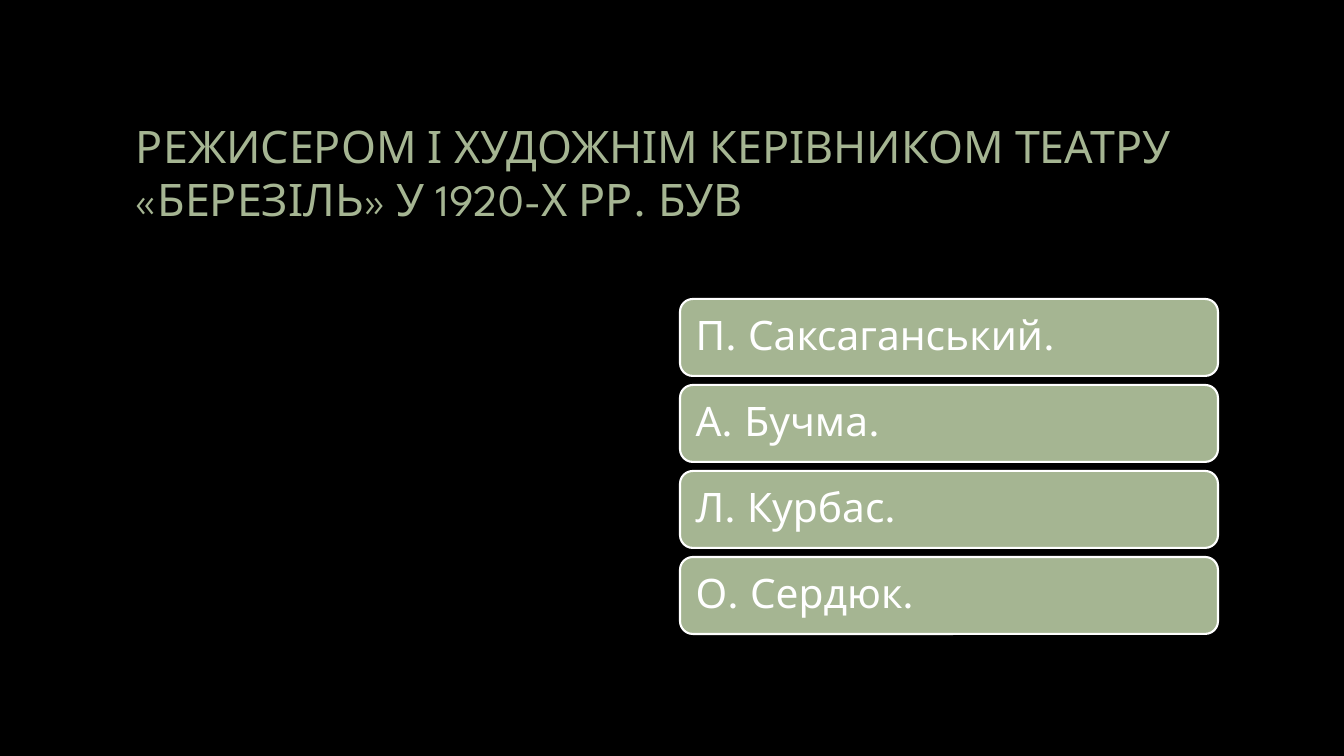
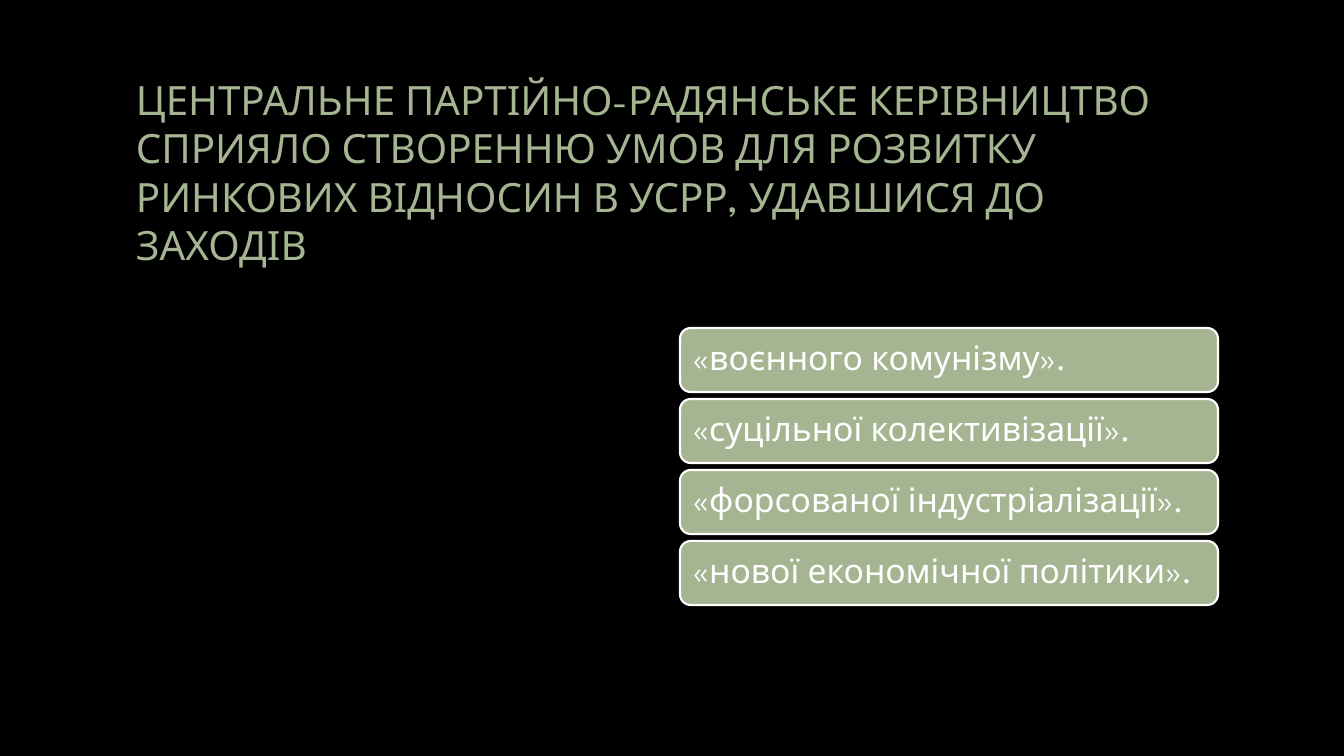
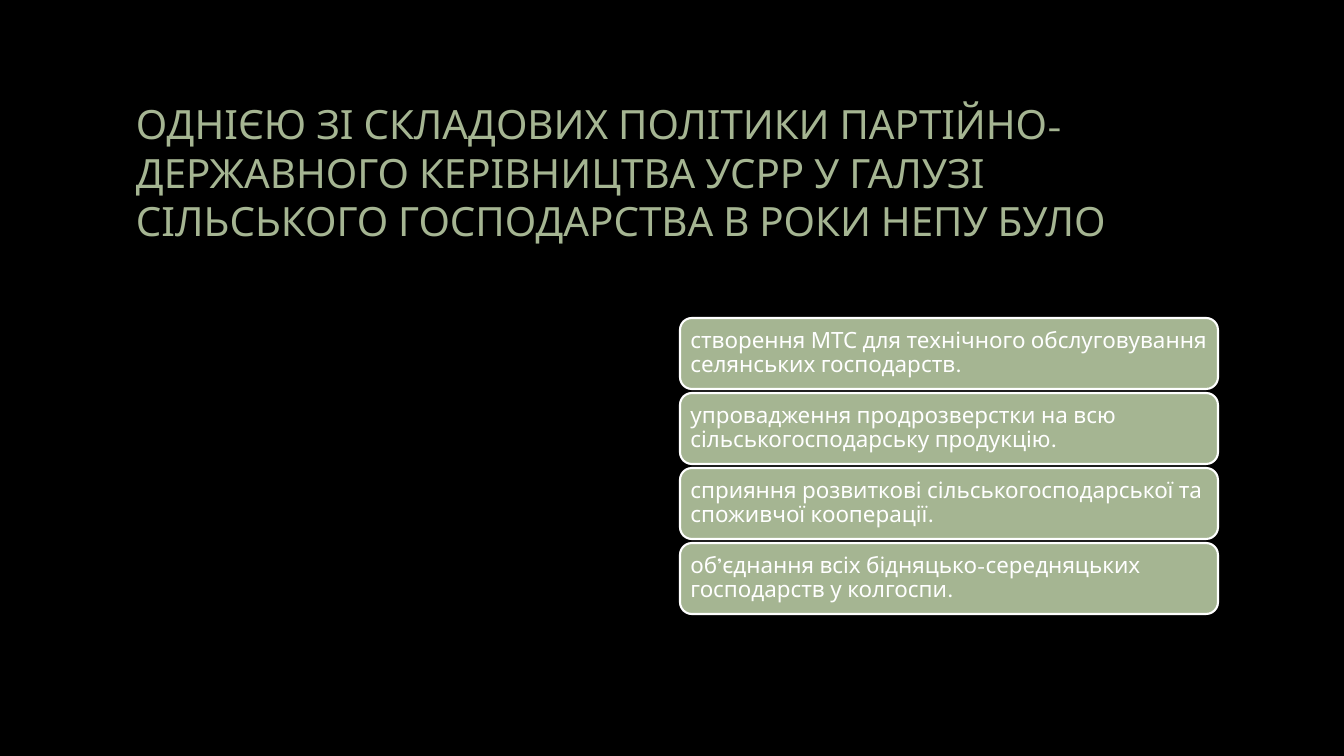
import pptx
import pptx.util
import pptx.dml.color
import pptx.enum.shapes
import pptx.enum.text

QUIZ = [
    dict(
        title="РЕЖИСЕРОМ І ХУДОЖНІМ КЕРІВНИКОМ ТЕАТРУ «БЕРЕЗІЛЬ» У 1920-Х РР. БУВ",
        items=["П. Саксаганський.", "А. Бучма.", "Л. Курбас.", "О. Сердюк."],
        head=32, size=29, top=299, tall=77, gap=9, inset=12,
    ),
    dict(
        title="ЦЕНТРАЛЬНЕ ПАРТІЙНО-РАДЯНСЬКЕ КЕРІВНИЦТВО СПРИЯЛО СТВОРЕННЮ УМОВ "
              "ДЛЯ РОЗВИТКУ РИНКОВИХ ВІДНОСИН В УСРР, УДАВШИСЯ ДО ЗАХОДІВ",
        items=["«воєнного комунізму».", "«суцільної колективізації».",
               "«форсованої індустріалізації».", "«нової економічної політики»."],
        head=28.8, size=24, top=328, tall=64, gap=7, inset=10,
    ),
    dict(
        title="ОДНІЄЮ ЗІ СКЛАДОВИХ ПОЛІТИКИ ПАРТІЙНО-ДЕРЖАВНОГО КЕРІВНИЦТВА УСРР "
              "У ГАЛУЗІ СІЛЬСЬКОГО ГОСПОДАРСТВА В РОКИ НЕПУ БУЛО",
        items=["створення МТС для технічного обслуговування селянських господарств.",
               "упровадження продрозверстки на всю сільськогосподарську продукцію.",
               "сприяння розвиткові сільськогосподарської та споживчої кооперації.",
               "об’єднання всіх бідняцько-середняцьких господарств у колгоспи."],
        head=28.8, size=16, top=318, tall=71, gap=4, inset=7,
    ),
]

HUES = {"back": "000000", "sage": "A5B592", "white": "FFFFFF"}
FONT = "League Spartan"
WIDE, HIGH = 1344, 756
HEAD = (126, 67, 1092, 210)
LEFT, SPAN = 680, 538


def px(num):
    return round(num * 914400 / 100.8)


def hue(name):
    return pptx.dml.color.RGBColor.from_string(HUES[name])


def write(shape, text, size, color, inset=10, side=10, line=1.0):
    frame = shape.text_frame
    frame.word_wrap = True
    frame.auto_size = pptx.enum.text.MSO_AUTO_SIZE.NONE
    frame.vertical_anchor = pptx.enum.text.MSO_ANCHOR.MIDDLE
    frame.margin_left = frame.margin_right = px(side)
    frame.margin_top = frame.margin_bottom = px(inset)
    para = frame.paragraphs[0]
    para.alignment = pptx.enum.text.PP_ALIGN.LEFT
    para.line_spacing = line
    run = para.add_run()
    run.text = text
    run.font.name = FONT
    run.font.size = pptx.util.Pt(size)
    run.font.color.rgb = hue(color)


def add_card(slide, text, top, tall, size, inset):
    card = slide.shapes.add_shape(
        pptx.enum.shapes.MSO_SHAPE.ROUNDED_RECTANGLE,
        px(LEFT), px(top), px(SPAN), px(tall))
    card.shadow.inherit = False
    card.fill.solid()
    card.fill.fore_color.rgb = hue("sage")
    card.line.color.rgb = hue("white")
    card.line.width = pptx.util.Pt(1.5)
    write(card, text, size, "white", inset=inset, side=inset, line=0.9)


def add_quiz(deck, quiz):
    slide = deck.slides.add_slide(deck.slide_layouts[5])
    title = slide.shapes.title
    title.left, title.top, title.width, title.height = map(px, HEAD)
    write(title, quiz["title"], quiz["head"], "sage", inset=5)
    step = quiz["tall"] + quiz["gap"]
    for row, text in enumerate(quiz["items"]):
        add_card(slide, text, quiz["top"] + row * step,
                 quiz["tall"], quiz["size"], quiz["inset"])


def main():
    deck = pptx.Presentation()
    deck.slide_width, deck.slide_height = px(WIDE), px(HIGH)
    fill = deck.slide_master.background.fill
    fill.solid()
    fill.fore_color.rgb = hue("back")
    for quiz in QUIZ:
        add_quiz(deck, quiz)
    deck.save("out.pptx")


if __name__ == "__main__":
    main()
